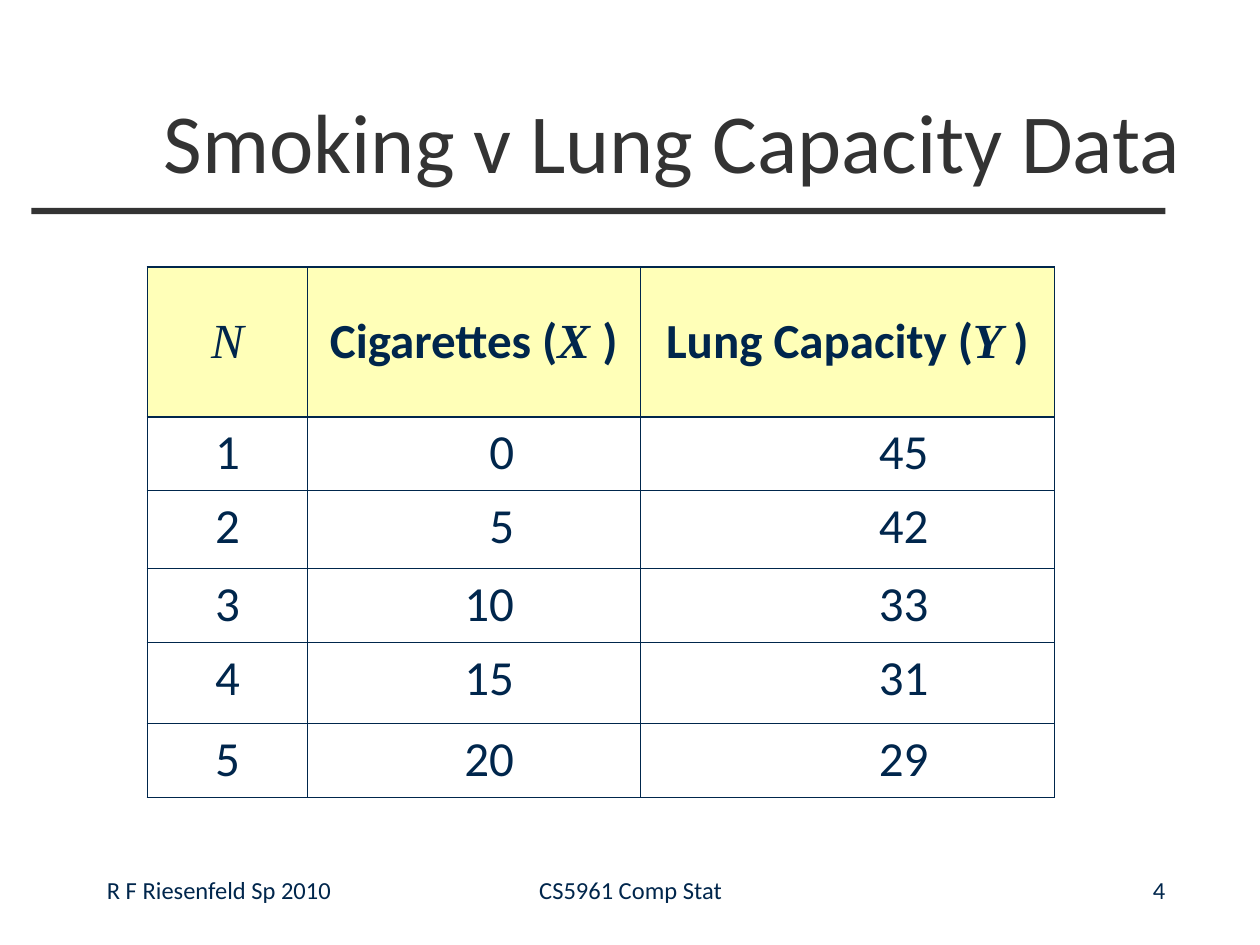
"""Build the smoking and lung capacity data slide."""
from dataclasses import dataclass

from lxml import etree
from pptx import Presentation
from pptx.dml.color import RGBColor
from pptx.enum import shapes, text
from pptx.oxml import ns
from pptx.util import Inches, Pt

ALIGN = text.PP_ALIGN
ANCHOR = text.MSO_ANCHOR


@dataclass(frozen=True)
class Theme:
    ink: str = "00264C"
    heading: str = "333333"
    header_fill: str = "FFFFB8"
    sans: str = "Calibri"
    serif: str = "Times New Roman"
    title_size: int = 48
    table_size: int = 28
    footer_size: int = 14
    thin: float = 0.45
    outer: float = 1.08
    header_rule: float = 1.47


@dataclass(frozen=True)
class Footer:
    words: str
    left: float
    width: float
    align: ALIGN


@dataclass(frozen=True)
class Heading:
    label: str
    symbol: str


THEME = Theme()
FOOTERS = [
    Footer("R F Riesenfeld Sp 2010", 0.75, 2.08, ALIGN.LEFT),
    Footer("CS5961 Comp Stat", 3.42, 3.17, ALIGN.CENTER),
    Footer("4", 8.83, 0.74, ALIGN.CENTER),
]
HEADINGS = [Heading("", "N"), Heading("Cigarettes", "X"), Heading("Lung Capacity", "Y")]
DATA = [(0, 45), (5, 42), (10, 33), (15, 31), (20, 29)]
COL_WIDTHS = [1.27, 2.64, 3.29]
ROW_HEIGHTS = [1.19, 0.58, 0.62, 0.59, 0.64, 0.59]


def style(font, size: float, color: str, name: str = THEME.sans, bold: bool = False) -> None:
    """Set the size, colour, face and weight of a font."""
    font.size = Pt(size)
    font.color.rgb = RGBColor.from_string(color)
    font.name = name
    font.bold = bold


def add_title(s, words: str) -> None:
    """Place the title and the rule below it."""
    rule = s.shapes.add_shape(
        shapes.MSO_SHAPE.RECTANGLE, Inches(0.25), Inches(1.65), Inches(9), Inches(0.05)
    )
    rule.shadow.inherit = False
    rule.fill.solid()
    rule.fill.fore_color.rgb = RGBColor.from_string(THEME.heading)
    rule.line.fill.background()
    sp = s.shapes.title
    sp.left, sp.top, sp.width, sp.height = map(Inches, (1.2, 0.31, 8.5, 1.25))
    tf = sp.text_frame
    tf.text = words
    tf.vertical_anchor = ANCHOR.BOTTOM
    tf.auto_size = text.MSO_AUTO_SIZE.NONE
    p = tf.paragraphs[0]
    p.alignment = ALIGN.LEFT
    style(p.font, THEME.title_size, THEME.heading)


def add_footer(s, footer: Footer) -> None:
    """Place one footer text."""
    sp = s.shapes.add_textbox(
        Inches(footer.left), Inches(6.77), Inches(footer.width), Inches(0.46)
    )
    tf = sp.text_frame
    tf.word_wrap = True
    tf.vertical_anchor = ANCHOR.BOTTOM
    p = tf.paragraphs[0]
    p.text = footer.words
    p.alignment = footer.align
    style(p.font, THEME.footer_size, THEME.ink)


def set_borders(cell, row: int, col: int) -> None:
    """Draw the four borders that suit the place of a cell in the grid."""
    last_row, last_col = len(ROW_HEIGHTS) - 1, len(COL_WIDTHS) - 1
    widths = {
        "lnL": THEME.outer if col == 0 else THEME.thin,
        "lnR": THEME.outer if col == last_col else THEME.thin,
        "lnT": {0: THEME.outer, 1: THEME.header_rule}.get(row, THEME.thin),
        "lnB": {0: THEME.header_rule, last_row: THEME.outer}.get(row, THEME.thin),
    }
    tc_pr = cell._tc.get_or_add_tcPr()
    for side, width in widths.items():
        ln = etree.SubElement(tc_pr, ns.qn(f"a:{side}"), w=str(int(Pt(width))))
        fill = etree.SubElement(ln, ns.qn("a:solidFill"))
        etree.SubElement(fill, ns.qn("a:srgbClr"), val=THEME.ink)


def fill_heading(cell, heading: Heading) -> None:
    """Write a column heading with its italic symbol."""
    cell.vertical_anchor = ANCHOR.MIDDLE
    cell.fill.solid()
    cell.fill.fore_color.rgb = RGBColor.from_string(THEME.header_fill)
    p = cell.text_frame.paragraphs[0]
    p.alignment = ALIGN.CENTER
    p.space_before = Pt(7)
    style(p.font, THEME.table_size, THEME.ink, bold=bool(heading.label))
    if heading.label:
        p.add_run().text = f"{heading.label} ("
    r = p.add_run()
    r.text = f"{heading.symbol} " if heading.label else heading.symbol
    r.font.name = THEME.serif
    r.font.italic = True
    if heading.label:
        p.add_run().text = ")"


def fill_value(cell, value: int, col: int) -> None:
    """Write one number, centred in the first column and right-aligned elsewhere."""
    cell.fill.background()
    p = cell.text_frame.paragraphs[0]
    p.text = str(value)
    p.space_before = Pt(7)
    p.alignment = ALIGN.RIGHT if col else ALIGN.CENTER
    if col:
        cell.margin_right = Inches(1)
    style(p.font, THEME.table_size, THEME.ink)


def add_data_table(s) -> None:
    """Place the data table."""
    table = s.shapes.add_table(
        len(ROW_HEIGHTS), len(COL_WIDTHS), Inches(1.17), Inches(2.12),
        Inches(sum(COL_WIDTHS)), Inches(sum(ROW_HEIGHTS)),
    ).table
    table.first_row = table.horz_banding = False
    for column, width in zip(table.columns, COL_WIDTHS):
        column.width = Inches(width)
    for row, height in zip(table.rows, ROW_HEIGHTS):
        row.height = Inches(height)
    for col, heading in enumerate(HEADINGS):
        set_borders(table.cell(0, col), 0, col)
        fill_heading(table.cell(0, col), heading)
    for row, pair in enumerate(DATA, start=1):
        for col, value in enumerate((row, *pair)):
            set_borders(table.cell(row, col), row, col)
            fill_value(table.cell(row, col), value, col)


def main() -> None:
    """Build and save the slide."""
    prs = Presentation()
    prs.slide_width, prs.slide_height = Inches(10), Inches(7.5)
    s = prs.slides.add_slide(prs.slide_layouts.get_by_name("Title Only"))
    add_title(s, "Smoking v Lung Capacity Data")
    add_data_table(s)
    for footer in FOOTERS:
        add_footer(s, footer)
    prs.save("out.pptx")


if __name__ == "__main__":
    main()
